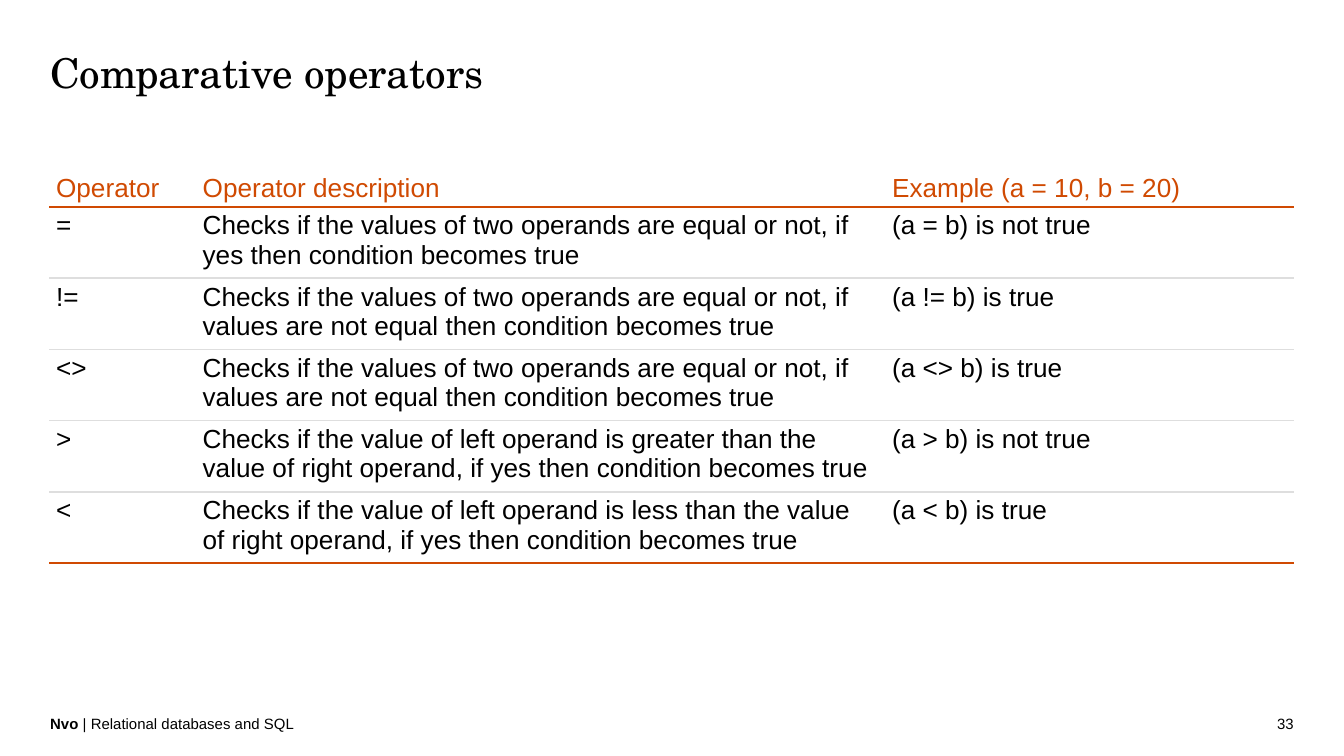
import pptx
import pptx.dml.color
import pptx.enum.text
import pptx.oxml
import pptx.oxml.ns
import pptx.util

Cm = pptx.util.Cm
Pt = pptx.util.Pt
BLACK, ORANGE, GREY = "000000", "D04A02", "DEDEDE"


def add_run(paragraph, text, size, color=BLACK, font="Arial", bold=False):
    run = paragraph.add_run()
    run.text = text
    run.font.size = Pt(size)
    run.font.name = font
    run.font.bold = bold
    run.font.color.rgb = pptx.dml.color.RGBColor.from_string(color)


def add_text_box(slide, left, top, width, height):
    """Add a box without margins and return its first paragraph."""
    shape = slide.shapes.add_textbox(Cm(left), Cm(top), Cm(width), Cm(height))
    frame = shape.text_frame
    frame.word_wrap = True
    frame.margin_left = frame.margin_right = frame.margin_top = frame.margin_bottom = 0
    return frame.paragraphs[0]


presentation = pptx.Presentation()
presentation.slide_width = Cm(25.4)
presentation.slide_height = Cm(14.29)
slide = presentation.slides.add_slide(presentation.slide_layouts[6])

# Title and footer
title = add_text_box(slide, 0.95, 0.9, 23.5, 1.05)
add_run(title, "Comparative operators", 22, font="TeX Gyre Schola")

footer = add_text_box(slide, 0.95, 13.5, 8.6, 0.32)
add_run(footer, "Nvo", 8, bold=True)
add_run(footer, " | Relational databases and SQL", 8)

page_number = add_text_box(slide, 18.75, 13.5, 5.7, 0.32)
page_number.alignment = pptx.enum.text.PP_ALIGN.RIGHT
add_run(page_number, "33", 8)

# Table of operators
EQUALITY = "Checks if the values of two operands are equal or not, if "
UNEQUAL = EQUALITY + "values are not equal then condition becomes true"
ORDER = ("Checks if the value of left operand is {} than the value of right operand, "
         "if yes then condition becomes true")
rows = [
    ("Operator", "Operator description", "Example (a = 10, b = 20)"),
    ("=", EQUALITY + "yes then condition becomes true", "(a = b) is not true"),
    ("!=", UNEQUAL, "(a != b) is true"),
    ("<>", UNEQUAL, "(a <> b) is true"),
    (">", ORDER.format("greater"), "(a > b) is not true"),
    ("<", ORDER.format("less"), "(a < b) is true"),
]
column_widths = [2.77, 13.03, 7.72]
row_heights = [0.76] + [1.34] * 5
# One rule above each row, and one below the last
rule_colors = [None, ORANGE] + [GREY] * 4 + [ORANGE]

table = slide.shapes.add_table(
    len(rows), len(column_widths), Cm(0.93), Cm(3.15),
    Cm(sum(column_widths)), Cm(sum(row_heights))).table
table.first_row = False
table.horz_banding = False
for column, width in zip(table.columns, column_widths):
    column.width = Cm(width)

for row_index, texts in enumerate(rows):
    table.rows[row_index].height = Cm(row_heights[row_index])
    is_header = row_index == 0
    borders = {"lnL": None, "lnR": None,
               "lnT": rule_colors[row_index], "lnB": rule_colors[row_index + 1]}
    for column_index, text in enumerate(texts):
        cell = table.cell(row_index, column_index)
        cell.margin_left = cell.margin_right = Cm(0.13)
        cell.margin_top = cell.margin_bottom = Cm(0.08)
        cell.vertical_anchor = (pptx.enum.text.MSO_ANCHOR.BOTTOM if is_header
                                else pptx.enum.text.MSO_ANCHOR.TOP)
        add_run(cell.text_frame.paragraphs[0], text, 14, ORANGE if is_header else BLACK)
        properties = cell._tc.get_or_add_tcPr()
        for tag, color in borders.items():
            fill = (f'<a:solidFill><a:srgbClr val="{color}"/></a:solidFill>'
                    if color else "<a:noFill/>")
            properties.append(pptx.oxml.parse_xml(
                f'<a:{tag} {pptx.oxml.ns.nsdecls("a")} w="{Pt(1)}">{fill}</a:{tag}>'))
        cell.fill.background()

presentation.save("out.pptx")
